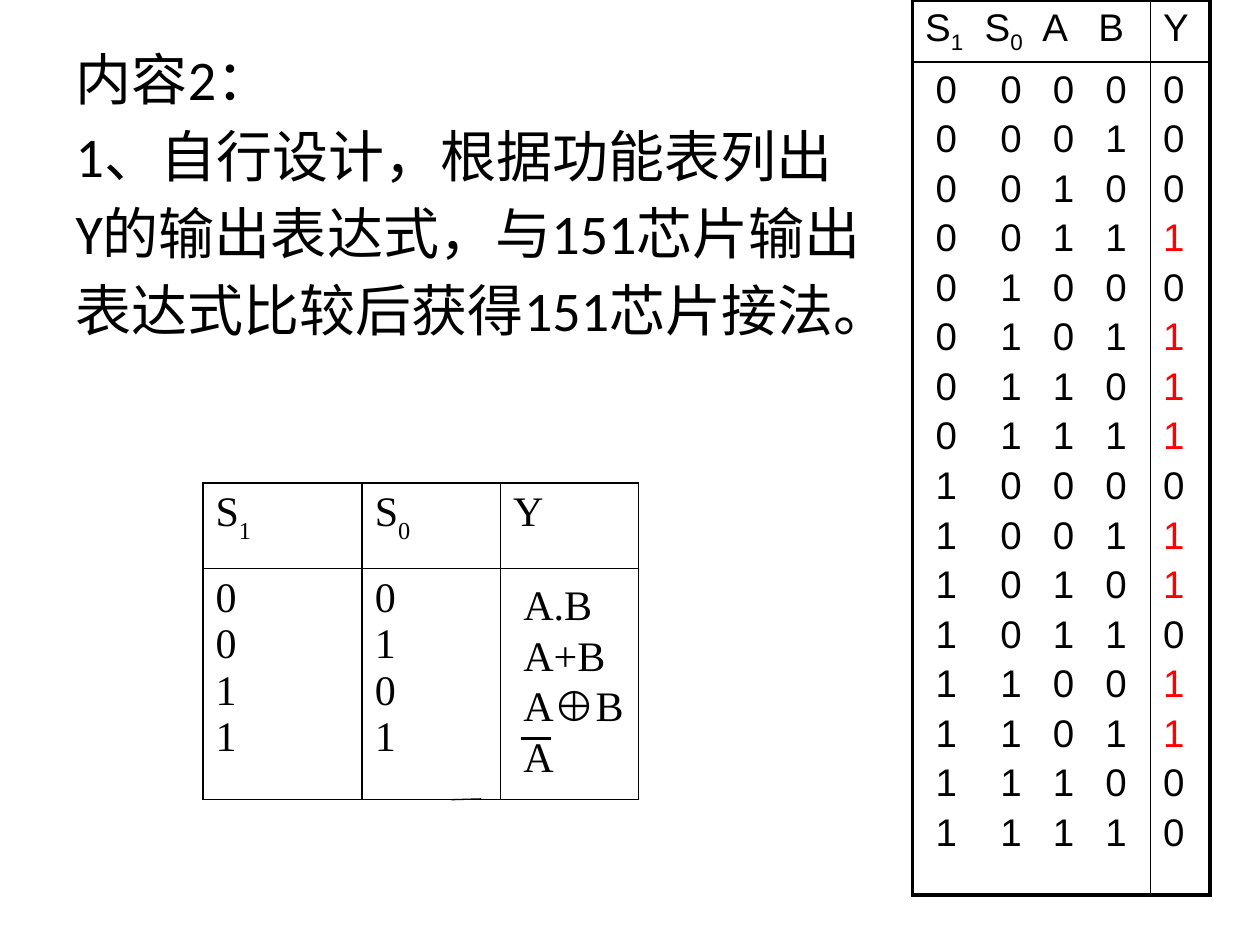
from itertools import product

from lxml.etree import SubElement
from pptx import Presentation
from pptx.dml.color import RGBColor
from pptx.enum.shapes import MSO_CONNECTOR
from pptx.enum.text import MSO_ANCHOR, MSO_AUTO_SIZE
from pptx.oxml import parse_xml
from pptx.oxml.ns import nsdecls, qn
from pptx.util import Pt

COLORS = {"ink": "000000", "one": "FF0000"}
THIN, THICK = 1, 2.25
HEADER_TABS = (34, 67, 99)
BODY_TABS = (6, 43, 73, 103)
FUNCTIONS = {
    (0, 0): lambda a, b: a & b,
    (0, 1): lambda a, b: a | b,
    (1, 0): lambda a, b: a ^ b,
    (1, 1): lambda a, b: 1 - a,
}


def style(paragraph, font_name, size, color="ink"):
    paragraph.font.name = font_name
    paragraph.font.size = Pt(size)
    paragraph.font.color.rgb = RGBColor.from_string(COLORS[color])


def add_tabs(paragraph, positions):
    tab_list = SubElement(paragraph._p.get_or_add_pPr(), qn("a:tabLst"))
    for position in positions:
        SubElement(tab_list, qn("a:tab"), pos=str(Pt(position)), algn="l")


def add_runs(paragraph, pieces, baseline):
    for text, lowered in pieces:
        run = paragraph.add_run()
        run.text = text
        if lowered:
            run._r.get_or_add_rPr().set("baseline", str(baseline))


def write_lines(frame, lines, font_name, size, space=0, tabs=(), colors=None):
    for index, line in enumerate(lines):
        paragraph = frame.paragraphs[0] if index == 0 else frame.add_paragraph()
        paragraph.space_before = Pt(space if index else 0)
        if tabs:
            add_tabs(paragraph, tabs)
        style(paragraph, font_name, size, colors[index] if colors else "ink")
        paragraph.add_run().text = line


def set_borders(cell, widths):
    properties = cell._tc.get_or_add_tcPr()
    for index, (side, width) in enumerate(zip("LRTB", widths)):
        properties.insert(index, parse_xml(
            f'<a:ln{side} {nsdecls("a")} w="{Pt(width)}"><a:solidFill>'
            f'<a:srgbClr val="{COLORS["ink"]}"/></a:solidFill></a:ln{side}>'))


def add_plain_table(slide, left, top, widths, heights, outer):
    table = slide.shapes.add_table(
        len(heights), len(widths), Pt(left), Pt(top),
        Pt(sum(widths)), Pt(sum(heights))).table
    table.first_row = table.horz_banding = False
    for column, width in zip(table.columns, widths):
        column.width = Pt(width)
    for row, height in zip(table.rows, heights):
        row.height = Pt(height)
    last_row, last_column = len(heights) - 1, len(widths) - 1
    for row, column in product(range(len(heights)), range(len(widths))):
        cell = table.cell(row, column)
        cell.fill.background()
        edges = (column == 0, column == last_column, row == 0, row == last_row)
        set_borders(cell, [outer if edge else THIN for edge in edges])
    return table


def add_line(slide, start, end, width):
    line = slide.shapes.add_connector(
        MSO_CONNECTOR.STRAIGHT, *(Pt(value) for value in start + end))
    line.line.width = Pt(width)
    line.line.color.rgb = RGBColor.from_string(COLORS["ink"])
    SubElement(line._element.spPr, qn("a:effectLst"))


def add_task(slide, left, top, width, height):
    body = slide.placeholders[1]
    body.left, body.top, body.width, body.height = map(Pt, (left, top, width, height))
    frame = body.text_frame
    frame.auto_size = MSO_AUTO_SIZE.NONE
    frame.vertical_anchor = MSO_ANCHOR.TOP
    lines = ["内容2：", "1、自行设计，根据功能表列出",
             "Y的输出表达式，与151芯片输出", "表达式比较后获得151芯片接法。"]
    for _ in lines[1:]:
        frame.add_paragraph()
    for index, (paragraph, line) in enumerate(zip(frame.paragraphs, lines)):
        properties = paragraph._p.get_or_add_pPr()
        properties.set("marL", "0")
        properties.set("indent", "0")
        paragraph.space_before = Pt(5.6 if index else 0)
        SubElement(properties, qn("a:buNone"))
        style(paragraph, "Calibri", 32)
        paragraph.add_run().text = line


def add_truth_table(slide, left, top):
    table = add_plain_table(slide, left, top, (136, 34), (34, 476), THICK)
    header = table.cell(0, 0).text_frame.paragraphs[0]
    add_tabs(header, HEADER_TABS)
    style(header, "Arial", 22)
    add_runs(header, [("S", False), ("1", True), ("\tS", False), ("0", True),
                      ("\tA\tB", False)], -25000)
    write_lines(table.cell(0, 1).text_frame, ["Y"], "Arial", 22)

    inputs = list(product((0, 1), repeat=4))
    outputs = [FUNCTIONS[s1, s0](a, b) for s1, s0, a, b in inputs]
    write_lines(table.cell(1, 0).text_frame,
                ["".join(f"\t{bit}" for bit in bits) for bits in inputs],
                "Arial", 22, 3.7, BODY_TABS)
    write_lines(table.cell(1, 1).text_frame, [str(output) for output in outputs],
                "Arial", 22, 3.7,
                colors=["one" if output else "ink" for output in outputs])


def add_function_table(slide, left, top):
    font = ("Times New Roman", 24)
    table = add_plain_table(slide, left, top, (91, 79, 79), (49, 132), THIN)
    for column, (letter, index) in enumerate((("S", "1"), ("S", "0"), ("Y", ""))):
        paragraph = table.cell(0, column).text_frame.paragraphs[0]
        style(paragraph, *font)
        add_runs(paragraph, [(letter, False)] + ([(index, True)] if index else []), -30000)
    for column in range(2):
        write_lines(table.cell(1, column).text_frame,
                    [str(selector[column]) for selector in FUNCTIONS], *font)

    formulas = slide.shapes.add_textbox(Pt(left + 176), Pt(top + 51), Pt(73), Pt(123))
    frame = formulas.text_frame
    frame.word_wrap = False
    write_lines(frame, ["A.B", "A+B", "A⊕B", "A"], *font)
    for paragraph in frame.paragraphs:
        paragraph.line_spacing = Pt(28.9)
    add_line(slide, (left + 182, top + 146), (left + 199, top + 146), 1.75)
    add_line(slide, (left + 159, top + 180.5), (left + 142, top + 181), 0.75)


def main():
    presentation = Presentation()
    presentation.slide_width, presentation.slide_height = Pt(720), Pt(540)
    slide = presentation.slides.add_slide(presentation.slide_layouts[1])
    title = slide.shapes.title._element
    title.getparent().remove(title)
    add_task(slide, 36, 21.6, 648, 460.8)
    add_truth_table(slide, 521.5, 0)
    add_function_table(slide, 116, 276)
    presentation.save("out.pptx")


if __name__ == "__main__":
    main()
